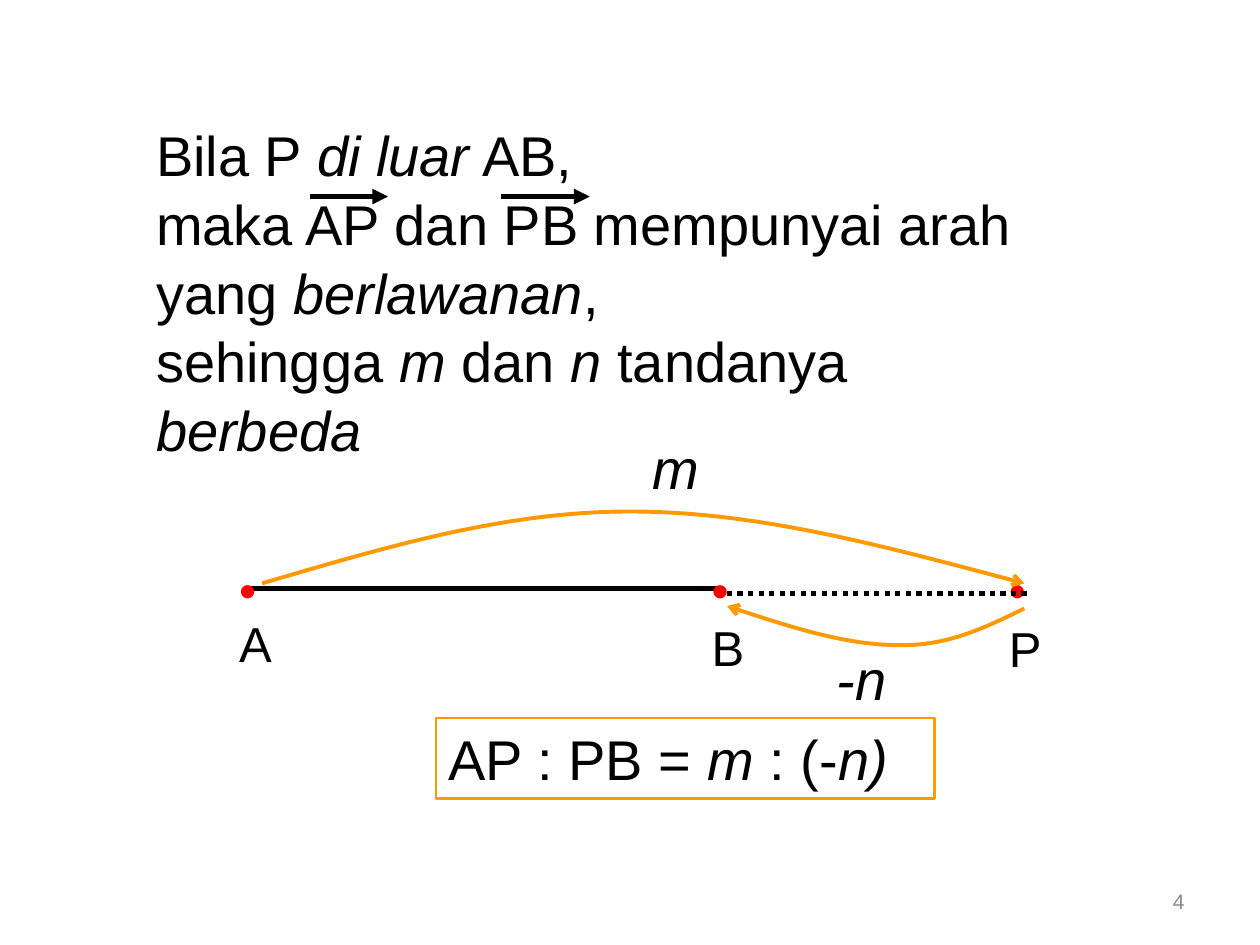
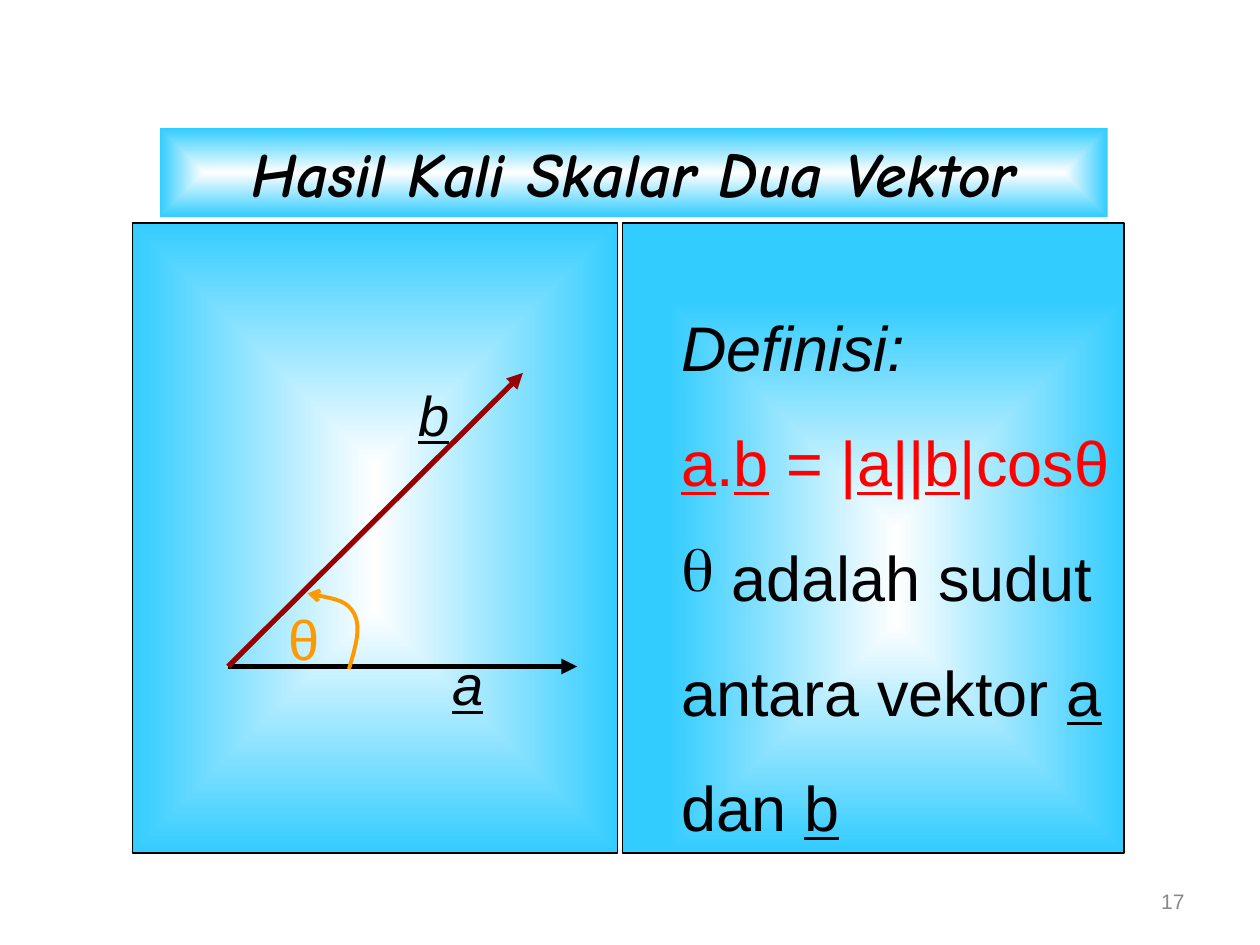
from dataclasses import dataclass

from lxml.etree import SubElement
from pptx import Presentation
from pptx.dml.color import RGBColor
from pptx.enum.dml import MSO_LINE
from pptx.enum.shapes import MSO_CONNECTOR, MSO_SHAPE
from pptx.enum.text import MSO_ANCHOR, PP_ALIGN
from pptx.oxml.ns import qn
from pptx.util import Inches, Pt


@dataclass(frozen=True)
class Theme:
    ink: str = "000000"
    dot: str = "FF0000"
    accent: str = "FF9900"
    vector: str = "990000"
    sky: str = "33CCFF"
    glow: str = "FFFFFF"
    muted: str = "898989"
    font: str = "Arial"
    title_font: str = "Comic Neue"
    page: int = 12
    label: int = 28
    body: int = 32
    title: int = 36
    body_gap: float = 20
    label_gap: float = 17.5
    title_gap: float = 22.5
    stroke: float = 3
    curve: float = 2.25


THEME = Theme()
COLUMNS, ROWS = 100, 75
CELL = Inches(0.1)


@dataclass(frozen=True)
class Box:
    """A region of the slide, in grid columns and rows."""
    col: float
    row: float
    cols: float
    rows: float

    def inner(self, col, row, cols, rows):
        return Box(self.col + col, self.row + row, cols, rows)

    def point(self, col, row):
        return round((self.col + col) * CELL), round((self.row + row) * CELL)

    def emu(self):
        return [round(n * CELL) for n in (self.col, self.row, self.cols, self.rows)]


# Text
def write(frame, text, size=THEME.body, color=THEME.ink, font=THEME.font, bold=False,
          align=None, spacing=None, gap=THEME.body_gap, bullet=None):
    """Add one paragraph per line; *...* is italic and _..._ is underlined."""
    for line in text.split("\n"):
        paragraph = frame.paragraphs[0]
        if paragraph.runs:
            paragraph = frame.add_paragraph()
            paragraph.space_before = Pt(gap)
        if bullet:
            props = paragraph._p.get_or_add_pPr()
            SubElement(SubElement(props, qn("a:buClr")), qn("a:srgbClr"), val=color)
            SubElement(props, qn("a:buChar"), char=bullet)
        if align is not None:
            paragraph.alignment = align
        if spacing is not None:
            paragraph.line_spacing = spacing
        for i, phrase in enumerate(line.split("*")):
            for j, piece in enumerate(phrase.split("_")):
                if piece:
                    run = paragraph.add_run()
                    run.text = piece
                    run.font.size, run.font.name = Pt(size), font
                    run.font.color.rgb = RGBColor.from_string(color)
                    run.font.bold, run.font.italic = bold, i % 2 == 1
                    run.font.underline = j % 2 == 1


def text_box(slide, box):
    frame = slide.shapes.add_textbox(*box.emu()).text_frame
    frame.word_wrap = True
    return frame


def label(slide, box, text, **style):
    write(text_box(slide, box), text, **style)


# Shapes and lines
def set_line(line, color, width):
    line.color.rgb = RGBColor.from_string(color)
    line.width = Pt(width)


def add_head(shape, head):
    SubElement(shape._element.spPr.find(qn("a:ln")), qn("a:tailEnd"), type=head)


def panel(slide, box, fill=None, glow=False, border=None, width=0.75):
    shape = slide.shapes.add_shape(MSO_SHAPE.RECTANGLE, *box.emu())
    shape.shadow.inherit = False
    if glow:
        shape.fill.gradient()
        for stop, color, place in zip(shape.fill.gradient_stops, (THEME.glow, fill), (0, 1)):
            stop.color.rgb, stop.position = RGBColor.from_string(color), place
        gradient = shape._element.spPr.find(qn("a:gradFill"))
        gradient.remove(gradient.find(qn("a:lin")))
        spread = SubElement(gradient, qn("a:path"), {"path": "rect"})
        SubElement(spread, qn("a:fillToRect"), l="50000", t="50000", r="50000", b="50000")
    elif fill:
        shape.fill.solid()
        shape.fill.fore_color.rgb = RGBColor.from_string(fill)
    else:
        shape.fill.background()
    if border:
        set_line(shape.line, border, width)
    else:
        shape.line.fill.background()
    frame = shape.text_frame
    frame.word_wrap, frame.vertical_anchor = True, MSO_ANCHOR.TOP
    frame.paragraphs[0].alignment = PP_ALIGN.LEFT
    return frame


def straight(slide, box, start, end, color=THEME.ink, head=None, dash=None):
    line = slide.shapes.add_connector(MSO_CONNECTOR.STRAIGHT, *box.point(*start), *box.point(*end))
    set_line(line.line, color, THEME.stroke)
    if dash:
        line.line.dash_style = dash
    if head:
        add_head(line, head)
    SubElement(line._element.spPr, qn("a:effectLst"))


def curved_arrow(slide, box, start, *controls):
    """Draw Bézier curves; each takes three of the control points."""
    builder = slide.shapes.build_freeform(*box.point(*start))
    builder.add_line_segments([box.point(*c) for c in controls], close=False)
    arrow = builder.convert_to_shape()
    arrow.shadow.inherit = False
    arrow.fill.background()
    set_line(arrow.line, THEME.accent, THEME.curve)
    add_head(arrow, "arrow")
    outline = arrow._element.spPr.find(".//" + qn("a:path"))
    steps = outline.findall(qn("a:lnTo"))
    for i in range(0, len(steps), 3):
        bend = SubElement(outline, qn("a:cubicBezTo"))
        for step in steps[i:i + 3]:
            bend.append(step[0])
            outline.remove(step)


def page_number(slide, number):
    frame = text_box(slide, Box(71.7, 69.5, 23.3, 4))
    frame.vertical_anchor = MSO_ANCHOR.MIDDLE
    write(frame, number, size=THEME.page, color=THEME.muted, align=PP_ALIGN.RIGHT)


# Slide: P outside AB
def explanation(slide, box):
    label(slide, box,
          "Bila P *di luar* AB,\nmaka AP dan PB mempunyai arah\nyang *berlawanan*,\n"
          "sehingga *m* dan *n* tandanya\n*berbeda*", spacing=0.5)
    for start, end in ((13.2, 19.4), (28.4, 35.4)):
        straight(slide, box, (start, 4.2), (end, 4.2), head="triangle")


def named_point(slide, box, name, dot_spacing=0.3, name_spacing=0.5):
    frame = text_box(slide, box)
    style = dict(size=THEME.label, gap=THEME.label_gap)
    write(frame, "•", color=THEME.dot, spacing=dot_spacing, **style)
    write(frame, name, spacing=name_spacing, **style)


def ratio_figure(slide, box):
    # Segment and its points
    straight(slide, box, (1.8, 12.8), (39.3, 12.8))
    named_point(slide, box.inner(0, 12.8, 5.6, 7.2), "A", name_spacing=Pt(17))
    named_point(slide, box.inner(61.1, 12.4, 5.6, 7.7), "P", dot_spacing=0.4)
    named_point(slide, box.inner(37.5, 12.8, 5.6, 7.2), "B")
    # Ratio terms
    label(slide, box.inner(32.8, 0, 6.5, 6.4), "*m*")
    label(slide, box.inner(47.4, 16.8, 6.5, 6.4), "*-n*")
    straight(slide, box, (39.7, 13.2), (63.7, 13.2), dash=MSO_LINE.ROUND_DOT)
    curved_arrow(slide, box, (2.8, 12.4), (12.4, 9.6), (21.9, 6.7), (32, 6.7),
                 (42.1, 6.7), (52.7, 9.6), (63.3, 12.4))
    curved_arrow(slide, box, (63.3, 14.4), (60.2, 15.9), (57.2, 17.4), (53.3, 17.3),
                 (49.3, 17.3), (44.5, 15.8), (39.7, 14.2))


def outside_point_slide(slide):
    page_number(slide, "4")
    explanation(slide, Box(11.4, 11.4, 79.2, 25.5))
    formula = panel(slide, Box(34.6, 57, 39.6, 6.4), border=THEME.accent, width=1.5)
    write(formula, "AP : PB = *m* : (-*n)*")
    ratio_figure(slide, Box(18, 33.9, 66.7, 23.2))


# Slide: scalar product
def angle_figure(slide, box):
    panel(slide, box, fill=THEME.sky, glow=True, border=THEME.ink)
    origin = (7.6, 35.2)
    straight(slide, box, origin, (35.3, 35.2), head="triangle")
    straight(slide, box, origin, (31, 11.9), color=THEME.vector, head="triangle")
    label(slide, box.inner(24.4, 33.4, 5.2, 6.4), "*_a_*")
    label(slide, box.inner(21.7, 12, 5.2, 6.4), "*_b_*")
    label(slide, box.inner(11.4, 29.8, 5.6, 6.4), "θ", color=THEME.accent)
    curved_arrow(slide, box, (17.2, 35.4), (17.7, 33.7), (18.2, 32.1), (17.6, 31),
                 (17.1, 30), (15.5, 29.7), (13.9, 29.4))


def definition(slide, box):
    panel(slide, box, fill=THEME.sky, border=THEME.ink)
    frame = panel(slide, box.inner(3.7, 6.3, 36, 43.5), fill=THEME.sky, glow=True)
    style = dict(size=THEME.title, gap=THEME.title_gap)
    write(frame, "*Definisi:*", **style)
    write(frame, "_a_._b_ = |_a_||_b_|cosθ", color=THEME.dot, **style)
    write(frame, " adalah sudut", bullet="θ", **style)
    write(frame, "antara vektor _a_\ndan _b_", **style)


def scalar_product_slide(slide):
    page_number(slide, "17")
    heading = panel(slide, Box(12.7, 10.2, 75.2, 7), fill=THEME.sky, glow=True)
    write(heading, "*Hasil Kali Skalar Dua Vektor*", size=THEME.title, font=THEME.title_font,
          bold=True, align=PP_ALIGN.CENTER)
    angle_figure(slide, Box(10.5, 17.7, 38.5, 50))
    definition(slide, Box(49.4, 17.7, 39.8, 50))


def main():
    deck = Presentation()
    deck.slide_width, deck.slide_height = COLUMNS * CELL, ROWS * CELL
    blank = deck.slide_layouts[6]
    for build in (outside_point_slide, scalar_product_slide):
        build(deck.slides.add_slide(blank))
    deck.save("out.pptx")


if __name__ == "__main__":
    main()
